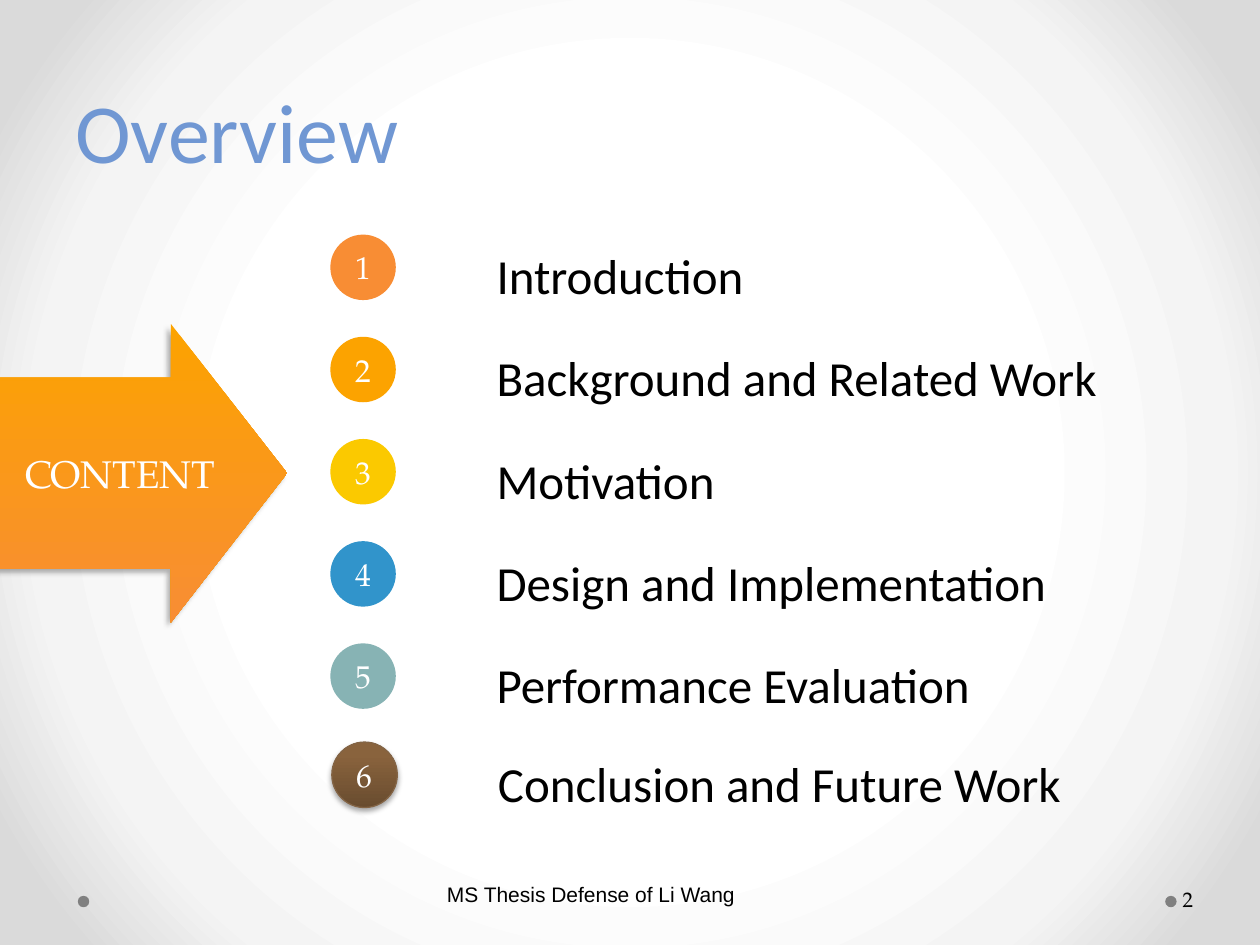
from pptx import Presentation
from pptx.dml.color import RGBColor
from pptx.enum.shapes import MSO_SHAPE
from pptx.enum.text import MSO_ANCHOR, PP_ALIGN
from pptx.oxml import parse_xml
from pptx.oxml.ns import nsdecls, qn
from pptx.util import Cm, Pt

BLACK = RGBColor(0x00, 0x00, 0x00)
WHITE = RGBColor(0xFF, 0xFF, 0xFF)
PALE = RGBColor(0xF4, 0xF4, 0xF4)
SILVER = RGBColor(0xDA, 0xDA, 0xDA)
GRAY = RGBColor(0x80, 0x80, 0x80)
TITLE_BLUE = RGBColor(0x70, 0x97, 0xD3)
ORANGE = RGBColor(0xF8, 0x8D, 0x34)
AMBER = RGBColor(0xFC, 0xA3, 0x00)
YELLOW = RGBColor(0xFB, 0xC9, 0x00)
BLUE = RGBColor(0x31, 0x94, 0xCB)
TEAL = RGBColor(0x87, 0xB3, 0xB4)
DARK_BROWN = RGBColor(0x69, 0x4C, 0x2F)
BROWN = RGBColor(0x89, 0x63, 0x3D)
LIGHT_BROWN = RGBColor(0x8B, 0x63, 0x3C)
RIM_BROWN = RGBColor(0x83, 0x64, 0x45)

SERIF = "TeX Gyre Pagella"
SANS = "Calibri"

CIRCULAR = ('<a:path {} path="circle"><a:fillToRect l="50000" t="50000" '
            'r="50000" b="50000"/></a:path>').format(nsdecls("a"))

# Topic, badge colour (None for the shaded brown badge), label width in cm
TOPICS = [
    ("Introduction", ORANGE, 8.94),
    ("Background and Related Work", AMBER, 13.2),
    ("Motivation", YELLOW, 8.94),
    ("Design and Implementation", BLUE, 11.94),
    ("Performance Evaluation", TEAL, 11.63),
    ("Conclusion and Future Work", None, 13.18),
]


def linear(degrees):
    return f'<a:lin {nsdecls("a")} ang="{degrees * 60000}" scaled="0"/>'


def set_gradient(fill, owner, stops, direction):
    """Fill with (percent, colour) stops; owner is the element holding the fill."""
    fill.gradient()
    gradient = next(owner.iter(qn("a:gradFill")))
    for child in list(gradient):
        gradient.remove(child)
    stop_xml = "".join(
        f'<a:gs pos="{percent * 1000}"><a:srgbClr val="{color}"/></a:gs>'
        for percent, color in stops)
    gradient.append(parse_xml(f'<a:gsLst {nsdecls("a")}>{stop_xml}</a:gsLst>'))
    gradient.append(parse_xml(direction))


def add_shadow(shape, alpha, blur, distance, degrees):
    effects = shape._element.spPr.find(qn("a:effectLst"))
    effects.append(parse_xml(
        f'<a:outerShdw {nsdecls("a")} blurRad="{Pt(blur)}" dist="{Pt(distance)}" '
        f'dir="{degrees * 60000}" algn="ctr" rotWithShape="0">'
        f'<a:srgbClr val="{BLACK}"><a:alpha val="{alpha * 1000}"/></a:srgbClr>'
        '</a:outerShdw>'))


def add_plain_shape(slide, preset, left, top, width, height, color=None):
    shape = slide.shapes.add_shape(preset, Cm(left), Cm(top), Cm(width), Cm(height))
    shape.shadow.inherit = False
    shape.line.fill.background()
    if color is not None:
        shape.fill.solid()
        shape.fill.fore_color.rgb = color
    return shape


def write(frame, text, size, font, color, align=PP_ALIGN.LEFT, anchor=MSO_ANCHOR.TOP):
    frame.text = text
    frame.word_wrap = True
    frame.vertical_anchor = anchor
    paragraph = frame.paragraphs[0]
    paragraph.alignment = align
    run_font = paragraph.runs[0].font
    run_font.size, run_font.name = Pt(size), font
    run_font.color.rgb = color
    return paragraph


def add_text(slide, left, top, width, height, *args, **kwargs):
    box = slide.shapes.add_textbox(Cm(left), Cm(top), Cm(width), Cm(height))
    return write(box.text_frame, *args, **kwargs)


def add_content_arrow(slide, left, top, width, height):
    arrow = add_plain_shape(slide, MSO_SHAPE.RIGHT_ARROW, left, top, width, height)
    arrow.adjustments[0], arrow.adjustments[1] = 0.64, 0.405
    set_gradient(arrow.fill, arrow._element, [(0, AMBER), (100, ORANGE)], linear(90))
    add_shadow(arrow, 30, 3, 3, 135)
    add_text(slide, left, top + 2.41, 4.85, 1.19, "CONTENT", 22, SERIF, WHITE,
             align=PP_ALIGN.CENTER)


def add_topic(slide, left, top, number, topic, color, label_width):
    # Numbered badge
    badge = add_plain_shape(slide, MSO_SHAPE.OVAL, left, top, 1.32, 1.32, color)
    if color is None:
        set_gradient(badge.fill, badge._element,
                     [(0, DARK_BROWN), (80, BROWN), (100, LIGHT_BROWN)], linear(270))
        badge.line.color.rgb = RIM_BROWN
        badge.line.width = Pt(0.75)
        add_shadow(badge, 35, 3.1, 1.8, 90)
    frame = badge.text_frame
    frame.margin_left = frame.margin_right = 0
    write(frame, str(number), 18, SERIF, WHITE, PP_ALIGN.CENTER, MSO_ANCHOR.MIDDLE)
    # Topic label
    add_text(slide, left + 3.1, top + 0.1, label_width, 1.45, topic, 28, SANS, BLACK)


def add_topic_list(slide, left, top, pitch):
    for index, (topic, color, label_width) in enumerate(TOPICS):
        # The shaded last badge sits slightly up and to the right
        dx, dy = (0.03, -0.07) if color is None else (0, 0)
        add_topic(slide, left + dx, top + index * pitch + dy,
                  index + 1, topic, color, label_width)


def add_footer(slide, left, top):
    for dot_left in (left, left + 21.92):
        add_plain_shape(slide, MSO_SHAPE.OVAL, dot_left, top + 0.41, 0.23, 0.23, GRAY)
    add_text(slide, left + 7.19, top, 7.9, 1.02,
             "MS Thesis Defense of Li Wang", 12, "Arial", BLACK)
    add_text(slide, left + 22.02, top + 0.1, 1.55, 1.02, "2", 12, SERIF, BLACK)


def add_title(slide, left, top, width, height):
    title = add_text(slide, left, top, width, height, "Overview", 48, SANS, TITLE_BLUE,
                     anchor=MSO_ANCHOR.MIDDLE)
    title.line_spacing = Pt(58)


def main():
    deck = Presentation()
    deck.slide_width, deck.slide_height = Cm(25.4), Cm(19.05)
    slide = deck.slides.add_slide(deck.slide_layouts[6])
    set_gradient(slide.background.fill, slide._element,
                 [(50, WHITE), (76, PALE), (92, SILVER)], CIRCULAR)
    add_content_arrow(slide, 0, 6.53, 5.79, 6.02)
    add_topic_list(slide, 6.66, 4.73, 2.06)
    add_footer(slide, 1.57, 17.65)
    add_title(slide, 1.27, 1.35, 22.86, 2.54)
    deck.save("out.pptx")


if __name__ == "__main__":
    main()
